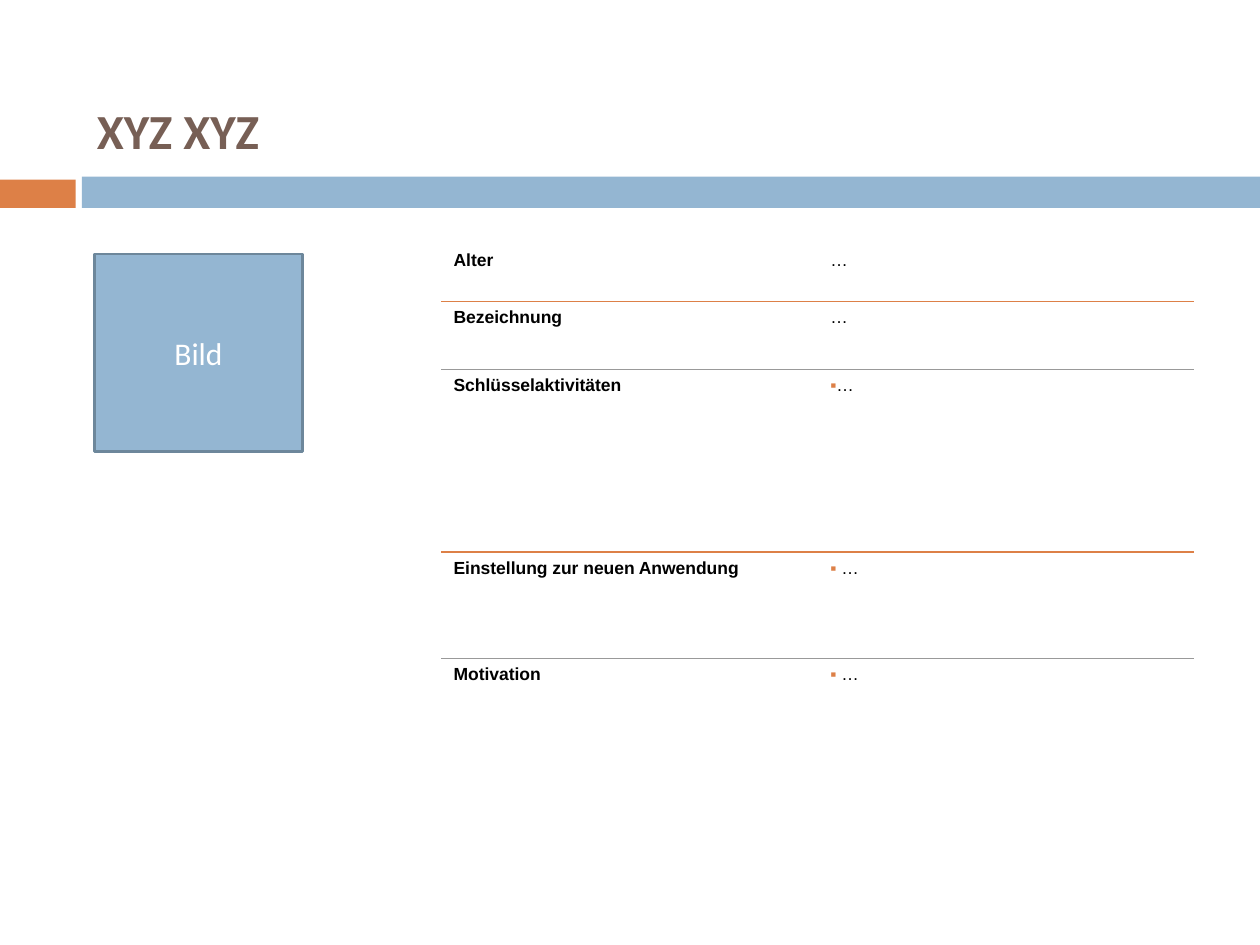
from lxml import etree
from pptx import Presentation
from pptx import util as u
from pptx.dml.color import RGBColor
from pptx.enum import shapes, text
from pptx.oxml.ns import qn

COLORS = {"orange": "DD8047", "blue": "94B6D2", "edge": "6D879B", "brown": "775F55",
          "gray": "999999", "black": "000000", "white": "FFFFFF"}
ROWS = [("Alter", "…", False, 0.45), ("Bezeichnung", "…", False, 0.54),
        ("Schlüsselaktivitäten", "…", True, 1.45),
        ("Einstellung zur neuen Anwendung", " …", True, 0.84),
        ("Motivation", " …", True, 1.03)]
RULES = [("orange", 1), ("gray", 0.5)]


class ProfileSlide:
    """Draws the elements of a profile slide in one style."""

    def __init__(self, presentation):
        self.width, self.height = presentation.slide_width, presentation.slide_height
        self.slide = presentation.slides.add_slide(presentation.slide_layouts[6])

    def box(self, left, top, width, height):
        return (round(left * self.width), round(top * self.height),
                round(width * self.width), round(height * self.height))

    def add_text(self, frame, content, color, **formats):
        paragraph = frame.paragraphs[0]
        run = paragraph.add_run()
        run.text = content
        run.font.color.rgb = RGBColor.from_string(COLORS[color])
        for name, value in formats.items():
            setattr(run.font, name, value)
        return paragraph

    def title(self, place, content):
        frame = self.slide.shapes.add_textbox(*self.box(*place)).text_frame
        settings = {"word_wrap": True, "margin_top": 0, "margin_bottom": 0,
                    "vertical_anchor": text.MSO_ANCHOR.MIDDLE}
        for name, value in settings.items():
            setattr(frame, name, value)
        self.add_text(frame, content, "brown", name="Calibri", size=u.Pt(28), bold=True)

    def rectangle(self, place, fill, edge=None, label=None):
        shape = self.slide.shapes.add_shape(shapes.MSO_SHAPE.RECTANGLE, *self.box(*place))
        shape.shadow.inherit = False
        shape.fill.solid()
        shape.fill.fore_color.rgb = RGBColor.from_string(COLORS[fill])
        if edge:
            shape.line.color.rgb = RGBColor.from_string(COLORS[edge])
            shape.line.width = u.Pt(1.5)
        else:
            shape.line.fill.background()
        if label:
            shape.text_frame.vertical_anchor = text.MSO_ANCHOR.MIDDLE
            paragraph = self.add_text(shape.text_frame, label, "white",
                                      name="Calibri", size=u.Pt(18))
            paragraph.alignment = text.PP_ALIGN.CENTER

    def borders(self, cell, rules):
        properties = cell._tc.get_or_add_tcPr()
        for position, side in enumerate(("lnL", "lnR", "lnT", "lnB")):
            line = etree.Element(qn(f"a:{side}"))
            properties.insert(position, line)
            if side in rules:
                color, points = rules[side]
                line.set("w", str(u.Pt(points)))
                fill = etree.SubElement(line, qn("a:solidFill"))
                etree.SubElement(fill, qn("a:srgbClr"), val=COLORS[color])
            else:
                line.set("w", "0")
                etree.SubElement(line, qn("a:noFill"))

    def bullet(self, paragraph):
        properties = paragraph._p.get_or_add_pPr()
        properties.set("marL", "0")
        properties.set("indent", "0")
        color = etree.SubElement(properties, qn("a:buClr"))
        etree.SubElement(color, qn("a:srgbClr"), val=COLORS["orange"])
        etree.SubElement(properties, qn("a:buFont"), typeface="Arial")
        etree.SubElement(properties, qn("a:buChar"), char="▪")

    def table(self, place, rows):
        frame = self.slide.shapes.add_table(len(rows), 2, *self.box(*place))
        table = frame.table
        for flag in ("first_row", "horz_banding"):
            setattr(table, flag, False)
        for index, (label, value, bulleted, height) in enumerate(rows):
            table.rows[index].height = u.Inches(height)
            rules = {}
            if index:
                rules["lnT"] = RULES[(index - 1) % 2]
            if index < len(rows) - 1:
                rules["lnB"] = RULES[index % 2]
            for column, content in enumerate((label, value)):
                cell = table.cell(index, column)
                cell.fill.background()
                self.borders(cell, rules)
                paragraph = self.add_text(cell.text_frame, content, "black", name="Arial",
                                          size=u.Pt(10), bold=column == 0)
                if bulleted and column:
                    self.bullet(paragraph)


presentation = Presentation()
presentation.slide_width, presentation.slide_height = u.Inches(10), u.Inches(7.5)
profile = ProfileSlide(presentation)
profile.rectangle((0, 0.19, 0.06, 0.03), "orange")
profile.rectangle((0.065, 0.187, 0.935, 0.033), "blue")
profile.title((0.067, 0.105, 0.892, 0.064), "XYZ XYZ")
profile.table((0.35, 0.259, 0.598, 0.575), ROWS)
profile.rectangle((0.075, 0.269, 0.165, 0.209), "blue", "edge", "Bild")
presentation.save("out.pptx")
